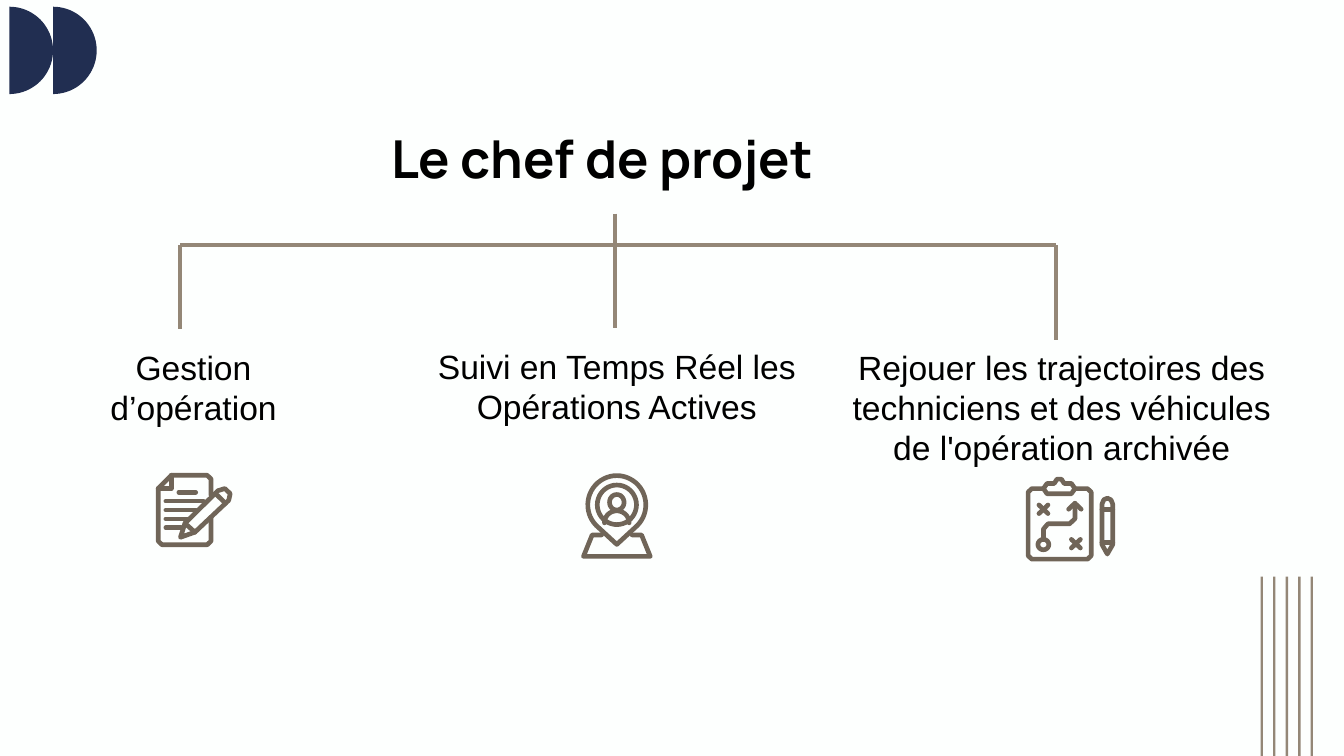
from dataclasses import dataclass
from math import cos, radians, sin

from lxml.etree import SubElement
from pptx import Presentation
from pptx.dml.color import RGBColor
from pptx.enum.shapes import MSO_CONNECTOR, MSO_SHAPE
from pptx.enum.text import MSO_ANCHOR, MSO_AUTO_SIZE, PP_ALIGN
from pptx.oxml.ns import qn
from pptx.util import Inches, Pt


@dataclass(frozen=True)
class Theme:
    paper: RGBColor = RGBColor.from_string("FDFFFE")
    ink: RGBColor = RGBColor.from_string("000000")
    navy: RGBColor = RGBColor.from_string("212E51")
    branch: RGBColor = RGBColor.from_string("948777")
    icon: RGBColor = RGBColor.from_string("706558")
    title_font: str = "Manrope"
    body_font: str = "Arial"
    title_size: Pt = Pt(28)
    body_size: Pt = Pt(18)
    branch_width: Pt = Pt(2.25)
    icon_width: Pt = Pt(2.5)


THEME = Theme()
CELL = Inches(0.1)  # the slide is a grid of 100 columns by 56.25 rows
COLUMNS, ROWS = 100, 56.25


@dataclass(frozen=True)
class Box:
    """A region in grid columns and rows."""
    left: float
    top: float
    width: float
    height: float

    def point(self, x, y):
        """Turn percentages of the box into slide lengths."""
        return (round((self.left + self.width * x / 100) * CELL),
                round((self.top + self.height * y / 100) * CELL))

    def frame(self):
        return [round(n * CELL) for n in (self.left, self.top, self.width, self.height)]


def arc(x, y, radius_x, radius_y, start, end, steps=40):
    """Points along an ellipse, clockwise from start to end degrees."""
    angles = [radians(start + (end - start) * i / steps) for i in range(steps + 1)]
    return [(x + radius_x * cos(a), y + radius_y * sin(a)) for a in angles]


def outline(shapes, box, points, closed=False):
    corners = [box.point(*point) for point in points]
    builder = shapes.build_freeform(*corners[0])
    builder.add_line_segments(corners[1:], close=closed)
    shape = builder.convert_to_shape()
    shape.shadow.inherit = False
    return shape


def fill_solid(shape, color):
    shape.fill.solid()
    shape.fill.fore_color.rgb = color
    shape.line.fill.background()


def draw_line(shapes, start, end, color, width):
    line = shapes.add_connector(MSO_CONNECTOR.STRAIGHT, *start, *end)
    line.line.color.rgb, line.line.width = color, width
    SubElement(line._element.spPr, qn("a:effectLst"))
    return line


def icon_strokes(shapes, box, strokes, closed=False):
    for points in strokes:
        if len(points) == 2:
            start, end = (box.point(*point) for point in points)
            shape = draw_line(shapes, start, end, THEME.icon, THEME.icon_width)
        else:
            shape = outline(shapes, box, points, closed)
            shape.fill.background()
            shape.line.color.rgb, shape.line.width = THEME.icon, THEME.icon_width
        shape._element.spPr.find(qn("a:ln")).set("cap", "rnd")


def add_half_discs(page, box):
    half = box.width / 2
    for i in range(2):
        disc_box = Box(box.left + i * half, box.top, half, box.height)
        disc = outline(page.shapes, disc_box, arc(0, 50, 100, 50, -90, 90), closed=True)
        fill_solid(disc, THEME.navy)


def add_stripes(page, box, count=5, thickness=0.18):
    pitch = (box.width - thickness) / (count - 1)
    for i in range(count):
        stripe = Box(box.left + i * pitch, box.top, thickness, box.height)
        bar = page.shapes.add_shape(MSO_SHAPE.RECTANGLE, *stripe.frame())
        bar.shadow.inherit = False
        fill_solid(bar, THEME.branch)


def add_title(page, box, text):
    title = page.shapes.title
    title.left, title.top, title.width, title.height = box.frame()
    frame = title.text_frame
    frame.auto_size, frame.word_wrap = MSO_AUTO_SIZE.NONE, True
    frame.vertical_anchor = MSO_ANCHOR.MIDDLE
    frame.margin_left = frame.margin_right = frame.margin_top = frame.margin_bottom = CELL
    frame.text = text
    para = frame.paragraphs[0]
    para.alignment = PP_ALIGN.LEFT
    para.font.name, para.font.size = THEME.title_font, THEME.title_size
    para.font.bold, para.font.color.rgb = True, THEME.ink


def add_branches(page, box, trunk, drops):
    """Trunk from the box top, a crossbar, and one drop (x, bottom) per child."""
    bar = box.top + 2.35
    segments = [(trunk, box.top, trunk, bar)]
    segments += [(x, bar, x, bottom) for x, bottom in drops]
    segments += [(trunk, bar, x, bar) for x in (box.left, box.left + box.width)]
    for x1, y1, x2, y2 in segments:
        start, end = (round(x1 * CELL), round(y1 * CELL)), (round(x2 * CELL), round(y2 * CELL))
        draw_line(page.shapes, start, end, THEME.branch, THEME.branch_width)


def add_label(page, box, lines):
    frame = page.shapes.add_textbox(*box.frame()).text_frame
    frame.word_wrap = True
    frame.text = "\n".join(lines)
    for para in frame.paragraphs:
        para.alignment = PP_ALIGN.CENTER
        para.font.name, para.font.size = THEME.body_font, THEME.body_size
        para.font.color.rgb = THEME.ink


def add_document_icon(page, box):
    shapes = page.shapes.add_group_shape().shapes
    sheet = [(72, 30), (72, 8), (67, 3), (20, 3), (3, 21), (3, 92), (8, 97),
             (67, 97), (72, 92), (72, 60)]
    fold = [(20, 3), (20, 21), (3, 21)]
    rows = [(30, 52), (13, 62), (13, 52), (13, 42), (13, 33)]
    writing = [[(x1, 26 + 12 * i), (x2, 26 + 12 * i)] for i, (x1, x2) in enumerate(rows)]
    pencil = [(32, 87), (38, 68), (81, 24), (90, 21), (97, 28), (95, 37), (51, 80)]
    bands = [[(78, 28), (91, 41)], [(38, 68), (51, 80)]]
    icon_strokes(shapes, box, [sheet, fold, *writing, *bands])
    icon_strokes(shapes, box, [pencil], closed=True)


def add_pin_icon(page, box):
    shapes = page.shapes.add_group_shape().shapes
    pin = arc(50, 37, 40, 34, 135, 405) + [(50, 83)]
    ring = arc(50, 37, 27, 23, 0, 360)
    head = arc(50, 34, 10, 9, 0, 360)
    shoulders = arc(50, 58, 17, 14, 180, 360)
    base = [(29, 72), (16, 72), (4, 97), (96, 97), (84, 72), (71, 72)]
    icon_strokes(shapes, box, [pin, ring, head], closed=True)
    icon_strokes(shapes, box, [shoulders, base])


def add_clipboard_icon(page, box):
    shapes = page.shapes.add_group_shape().shapes
    board = [(55, 15), (69, 15), (73, 19), (73, 93), (69, 97), (7, 97), (3, 93),
             (3, 19), (7, 15), (20, 15)]
    clip = [(24, 9), (32, 9), (35, 4), (40, 4), (43, 9), (51, 9),
            (55, 15), (51, 21), (24, 21), (20, 15)]
    crosses = [[(x - 5, y - 5 * slope), (x + 5, y + 5 * slope)]
               for x, y in ((20, 39), (56, 79)) for slope in (1, -1)]
    route = [(20, 73), (20, 62), (25, 56), (49, 56), (55, 50), (55, 32)]
    arrow = [(48, 39), (55, 32), (62, 39)]
    start = arc(20, 80, 6, 6, 0, 360)
    pencil = [(85, 33), (87, 28), (91, 26), (95, 28), (97, 33), (97, 80), (91, 91), (85, 80)]
    bands = [[(85, y), (97, y)] for y in (39, 78)]
    icon_strokes(shapes, box, [board, *crosses, route, arrow, *bands])
    icon_strokes(shapes, box, [clip, start, pencil], closed=True)


def main():
    deck = Presentation()
    deck.slide_width, deck.slide_height = round(COLUMNS * CELL), round(ROWS * CELL)
    page = deck.slides.add_slide(deck.slide_layouts[5])
    page.background.fill.solid()
    page.background.fill.fore_color.rgb = THEME.paper

    # Corner decorations
    add_half_discs(page, Box(0.7, 0.5, 6.5, 6.5))
    add_stripes(page, Box(93.8, 42.9, 3.9, ROWS - 42.9))

    # Role and its branches
    add_title(page, Box(28.1, 8.6, 36.8, 6.3), "Le chef de projet")
    add_branches(page, Box(13.4, 15.9, 65.2, 9.4), 45.75,
                 [(13.4, 24.5), (45.75, 24.4), (78.6, 25.3)])

    # Tasks
    add_label(page, Box(60.5, 25.3, 37, 10.1),
              ["Rejouer les trajectoires des techniciens et des véhicules",
               "de l'opération archivée"])
    add_label(page, Box(25.9, 25.25, 40, 9.4), ["Suivi en Temps Réel les Opérations Actives"])
    add_label(page, Box(6, 25.3, 16.8, 7.1), ["Gestion d’opération"])

    # Task icons
    add_clipboard_icon(page, Box(76.3, 35.4, 6.7, 6.4))
    add_pin_icon(page, Box(43.2, 35.2, 5.4, 6.4))
    add_document_icon(page, Box(11.6, 35.2, 5.7, 5.5))

    deck.save("out.pptx")


if __name__ == "__main__":
    main()
